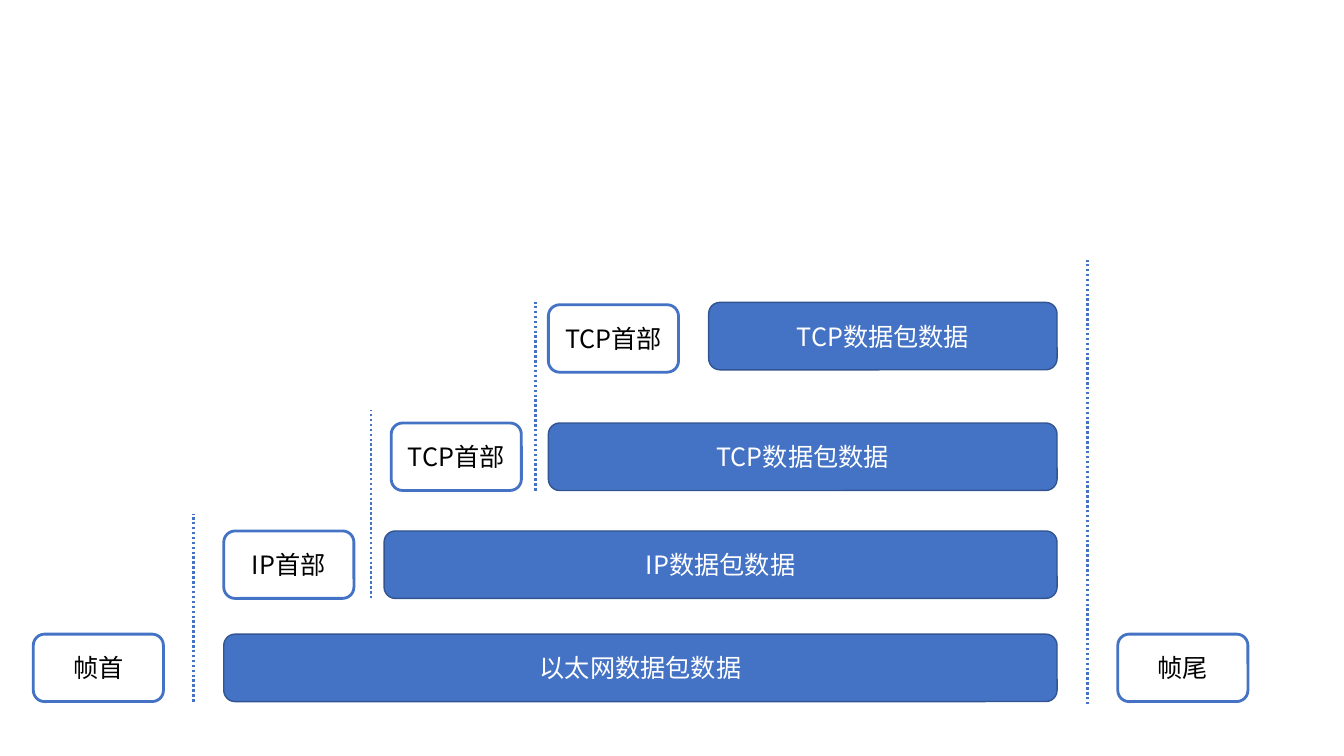
from pptx import Presentation
from pptx.dml.color import RGBColor
from pptx.enum import dml, shapes, text
from pptx.oxml.ns import qn
from pptx.util import Cm, Pt
from lxml import etree

BLUE = RGBColor(0x44, 0x72, 0xC4)
NAVY = RGBColor(0x32, 0x54, 0x91)
WHITE = RGBColor(0xFF, 0xFF, 0xFF)
BLACK = RGBColor(0, 0, 0)
FONT = "Noto Sans CJK SC"

# top, data left, data text, header left, header top, header text, divider x
LAYERS = [
    (15.98, 5.64, "以太网数据包数据", 0.84, 15.98, "帧首", 4.88),
    (13.38, 9.68, "IP数据包数据", 5.64, 13.38, "IP首部", 9.35),
    (10.66, 13.82, "TCP数据包数据", 9.86, 10.66, "TCP首部", 13.49),
    (7.62, 17.86, "TCP数据包数据", 13.82, 7.68, "TCP首部", None),
]
TRAILER = (28.17, 15.98, "帧尾")
TRAILER_DIVIDER = (27.41, 17.75, 6.55)
DATA_RIGHT = 26.64
HEADER_WIDTH = 3.28
BOX_HEIGHT = 1.7
DIVIDER_HEIGHT = 4.74


def add_box(s, left, top, width, label, fill, line, line_width, color):
    sp = s.shapes.add_shape(shapes.MSO_SHAPE.ROUNDED_RECTANGLE,
                            Cm(left), Cm(top), Cm(width), Cm(BOX_HEIGHT))
    sp.shadow.inherit = False
    sp.fill.solid()
    sp.fill.fore_color.rgb = fill
    sp.line.color.rgb = line
    sp.line.width = Pt(line_width)
    tf = sp.text_frame
    tf.text = label
    tf.word_wrap = True
    tf.vertical_anchor = text.MSO_ANCHOR.MIDDLE
    p = tf.paragraphs[0]
    p.alignment = text.PP_ALIGN.CENTER
    r = p.runs[0]
    r.font.size = Pt(18)
    r.font.name = FONT
    r.font.color.rgb = color
    etree.SubElement(r.font._element, qn("a:ea")).set("typeface", FONT)


def add_header(s, left, top, label):
    add_box(s, left, top, HEADER_WIDTH, label, WHITE, BLUE, 2, BLACK)


def add_divider(s, x, bottom, top):
    c = s.shapes.add_connector(shapes.MSO_CONNECTOR.STRAIGHT,
                               Cm(x), Cm(bottom), Cm(x), Cm(top))
    c.line.color.rgb = BLUE
    c.line.width = Pt(1.75)
    c.line.dash_style = dml.MSO_LINE.ROUND_DOT
    etree.SubElement(c._element.spPr, qn("a:effectLst"))


def main():
    prs = Presentation()
    prs.slide_width, prs.slide_height = Cm(33.87), Cm(19.05)
    s = prs.slides.add_slide(prs.slide_layouts[6])
    for top, left, data, header_left, header_top, header, divider in LAYERS:
        add_box(s, left, top, DATA_RIGHT - left, data, BLUE, NAVY, 1, WHITE)
        add_header(s, header_left, header_top, header)
        if divider is not None:
            bottom = top + BOX_HEIGHT
            add_divider(s, divider, bottom, bottom - DIVIDER_HEIGHT)
    add_header(s, *TRAILER)
    add_divider(s, *TRAILER_DIVIDER)
    prs.save("out.pptx")


if __name__ == "__main__":
    main()
